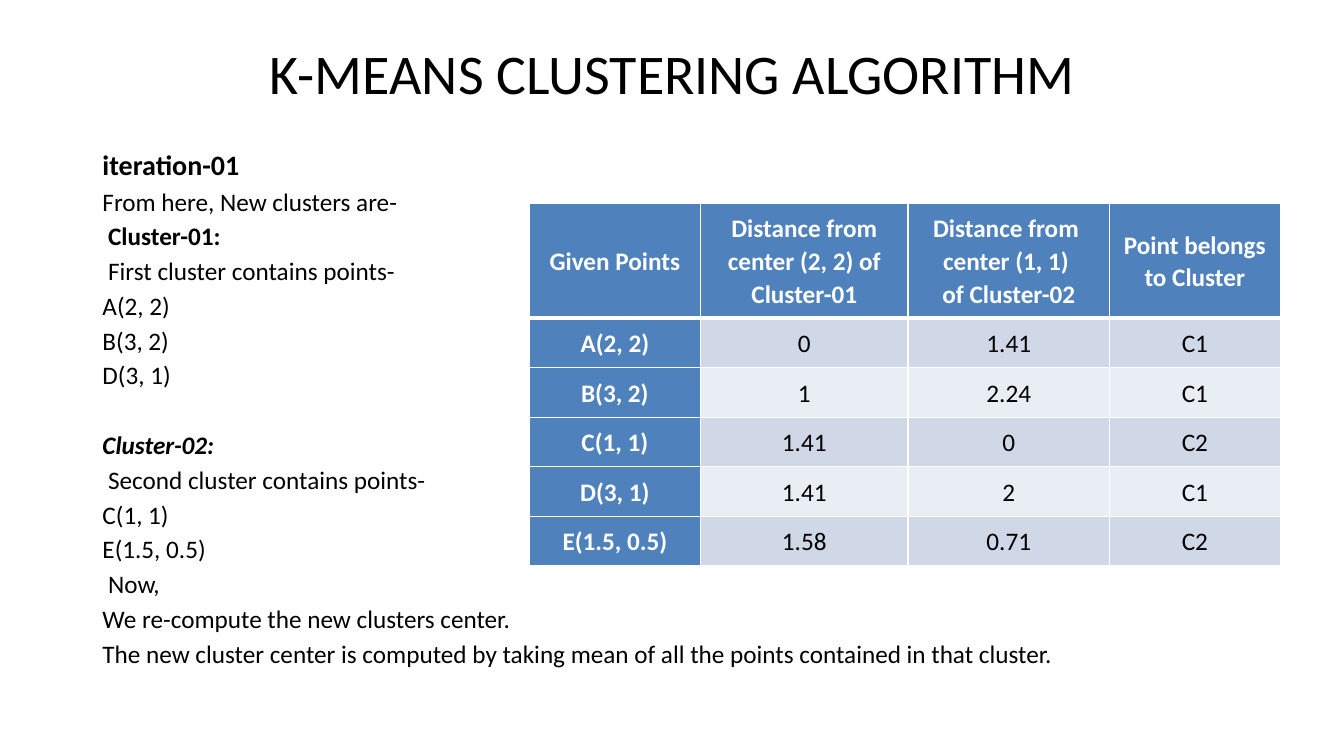
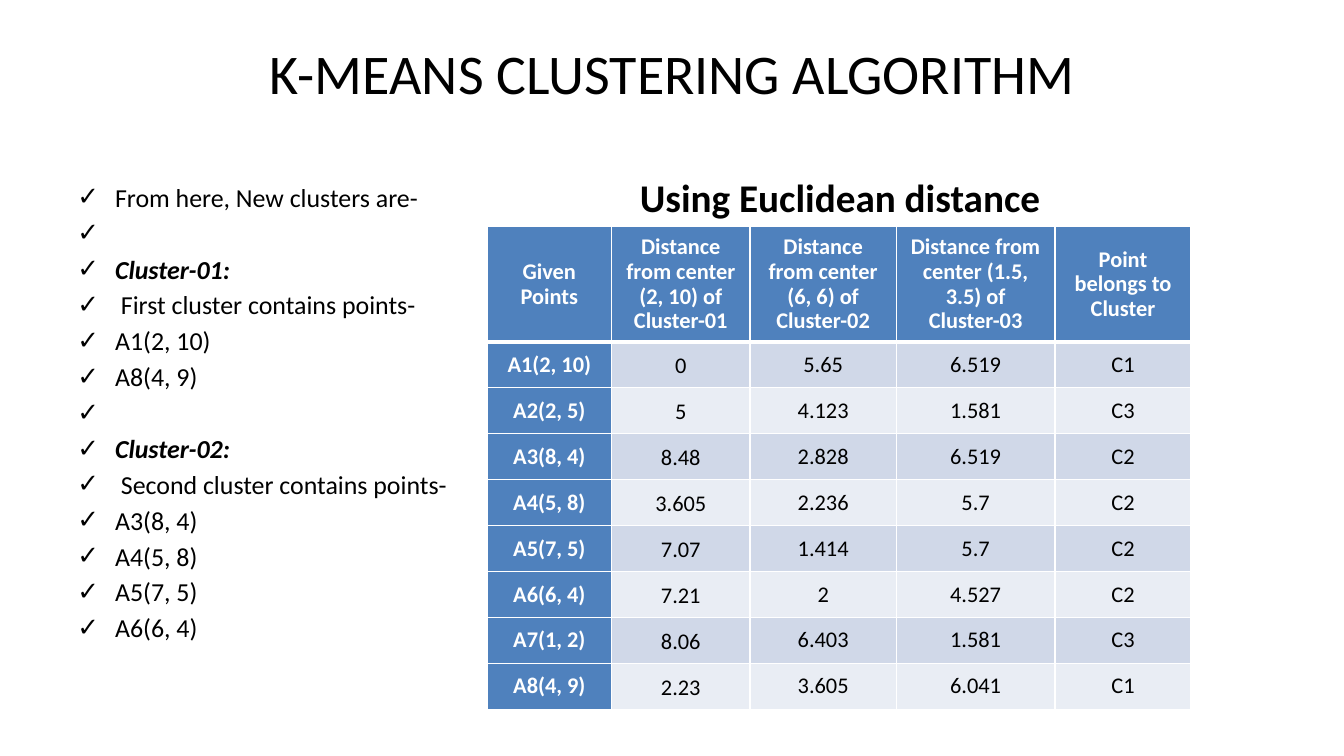
from lxml.etree import SubElement
from pptx import Presentation
from pptx.dml.color import RGBColor
from pptx.enum.text import MSO_ANCHOR as Anchor, MSO_AUTO_SIZE as AutoSize, PP_ALIGN as Align
from pptx.oxml.ns import qn
from pptx.util import Inches, Pt

BLACK = RGBColor(0x00, 0x00, 0x00)
WHITE = RGBColor(0xFF, 0xFF, 0xFF)
BLUE = RGBColor(0x4F, 0x81, 0xBD)
BANDS = RGBColor(0xD0, 0xD8, 0xE8), RGBColor(0xE9, 0xED, 0xF4)

TITLE = "K-MEANS CLUSTERING ALGORITHM"
TITLE_AREA = 8, 3.6, 144, 15
BOLD_ITALIC = {"bold": True, "italic": True}

ITERATION = [
    ("iteration-01", {"size": 20, "bold": True}),
    ("From here, New clusters are-", {}),
    (" Cluster-01:", {"bold": True}),
    (" First cluster contains points-", {}),
    ("A(2, 2)", {}),
    ("B(3, 2)", {}),
    ("D(3, 1)", {}),
    ("Cluster-02:", {**BOLD_ITALIC, "before": 28.4}),
    (" Second cluster contains points-", {}),
    ("C(1, 1)", {}),
    ("E(1.5, 0.5)", {}),
    (" Now,", {}),
    ("We re-compute the new clusters center.", {}),
    ("The new cluster center is computed by taking mean of all the points "
     "contained in that cluster.", {}),
]
TWO_CENTERS = [
    ("Given Points", "Distance from center (2, 2) of Cluster-01",
     "Distance from \ncenter (1, 1) \nof Cluster-02", "Point belongs to Cluster"),
    ("A(2, 2)", "0", "1.41", "C1"),
    ("B(3, 2)", "1", "2.24", "C1"),
    ("C(1, 1)", "1.41", "0", "C2"),
    ("D(3, 1)", "1.41", "2", "C1"),
    ("E(1.5, 0.5)", "1.58", "0.71", "C2"),
]
NEW_CLUSTERS = [
    ("From here, New clusters are-", {}),
    (" ", {}),
    ("Cluster-01:", BOLD_ITALIC),
    (" First cluster contains points-", {}),
    ("A1(2, 10)", {}),
    ("A8(4, 9)", {}),
    (" ", {}),
    ("Cluster-02:", BOLD_ITALIC),
    (" Second cluster contains points-", {}),
    ("A3(8, 4)", {}),
    ("A4(5, 8)", {}),
    ("A5(7, 5)", {}),
    ("A6(6, 4)", {}),
]
THREE_CENTERS = [
    ("Given Points", "Distance from center (2, 10) of Cluster-01",
     "Distance from center (6, 6) of Cluster-02",
     "Distance from center (1.5, 3.5) of Cluster-03", "Point belongs to Cluster"),
    ("A1(2, 10)", "0", "5.65", "6.519", "C1"),
    ("A2(2, 5)", "5", "4.123", "1.581", "C3"),
    ("A3(8, 4)", "8.48", "2.828", "6.519", "C2"),
    ("A4(5, 8)", "3.605", "2.236", "5.7", "C2"),
    ("A5(7, 5)", "7.07", "1.414", "5.7", "C2"),
    ("A6(6, 4)", "7.21", "2", "4.527", "C2"),
    ("A7(1, 2)", "8.06", "6.403", "1.581", "C3"),
    ("A8(4, 9)", "2.23", "3.605", "6.041", "C1"),
]


def grid(count):
    """Length of a number of grid columns or rows, twelve to the inch."""
    return Inches(count / 12)


class Deck:
    FONT = "Calibri"
    COLUMNS, ROWS = 160, 90

    def __init__(self):
        self.prs = Presentation()
        self.prs.slide_width = grid(self.COLUMNS)
        self.prs.slide_height = grid(self.ROWS)
        self.slide = None

    def start(self, title):
        """Add a slide with the shared title."""
        self.slide = self.prs.slides.add_slide(self.prs.slide_layouts[1])
        heading = self.slide.shapes.title
        self.place(heading, TITLE_AREA)
        heading.text_frame.margin_top = Inches(0.08)
        heading.text_frame.text = title
        paragraph = heading.text_frame.paragraphs[0]
        paragraph.alignment = Align.CENTER
        self.style(paragraph, 40)

    def place(self, shape, area):
        shape.left, shape.top, shape.width, shape.height = map(grid, area)
        frame = shape.text_frame
        frame.word_wrap = True
        frame.auto_size = AutoSize.NONE
        frame.vertical_anchor = Anchor.TOP

    def style(self, paragraph, size, color=BLACK, bold=False, italic=False):
        font = paragraph.font
        font.name, font.size = self.FONT, Pt(size)
        font.bold, font.italic = bold, italic
        font.color.rgb = color

    def listing(self, area, lines, size, before, bullet=None):
        body = self.slide.placeholders[1]
        self.place(body, area)
        frame = body.text_frame
        for index, (text, look) in enumerate(lines):
            paragraph = frame.add_paragraph() if index else frame.paragraphs[0]
            paragraph.text = text
            look = {"size": size, "before": before, **look}
            gap = look.pop("before")
            paragraph.space_before = Pt(gap if index else 0)
            self.mark(paragraph, bullet)
            self.style(paragraph, **look)

    def mark(self, paragraph, bullet):
        """Give a paragraph its bullet and hanging indent, or neither."""
        props = paragraph._p.get_or_add_pPr()
        hang = grid(4.5) if bullet else 0
        props.set("marL", str(hang))
        props.set("indent", str(-hang))
        if bullet:
            SubElement(props, qn("a:buChar"), char=bullet)
        else:
            SubElement(props, qn("a:buNone"))

    def caption(self, area, text, size):
        box = self.slide.shapes.add_textbox(0, 0, 0, 0)
        self.place(box, area)
        box.text_frame.text = text
        self.style(box.text_frame.paragraphs[0], size, bold=True)

    def table(self, corner, widths, height, header_height, rows, size, spacing,
              first_value_spacing):
        left, top = corner
        table = self.slide.shapes.add_table(
            len(rows), len(widths), grid(left), grid(top),
            grid(sum(widths)), grid(height)).table
        for column, width in zip(table.columns, widths):
            column.width = grid(width)
        row_height = (height - header_height) / (len(rows) - 1)
        for r, texts in enumerate(rows):
            table.rows[r].height = grid(row_height if r else header_height)
            for c, text in enumerate(texts):
                line_spacing = first_value_spacing if r and c == 1 else spacing
                self.cell(table.cell(r, c), text, r, c, size, line_spacing)

    def cell(self, cell, text, row, column, size, spacing):
        label = row == 0 or column == 0
        cell.text = text
        cell.vertical_anchor = Anchor.MIDDLE
        cell.margin_left = cell.margin_right = Inches(0.1)
        cell.margin_top = cell.margin_bottom = Inches(0.08)
        self.borders(cell, top=3 if row == 1 else 1, bottom=1 if row else 3)
        cell.fill.solid()
        cell.fill.fore_color.rgb = BLUE if label else BANDS[(row - 1) % 2]
        for paragraph in cell.text_frame.paragraphs:
            paragraph.alignment = Align.CENTER
            paragraph.line_spacing = spacing
            self.style(paragraph, size, WHITE if label else BLACK, bold=label)

    def borders(self, cell, top, bottom):
        props = cell._tc.get_or_add_tcPr()
        for side, width in zip("LRTB", (1, 1, top, bottom)):
            line = SubElement(props, qn(f"a:ln{side}"), w=str(Pt(width)))
            fill = SubElement(line, qn("a:solidFill"))
            SubElement(fill, qn("a:srgbClr"), val=str(WHITE))


def main():
    deck = Deck()

    deck.start(TITLE)
    deck.listing((11, 17, 143, 71), ITERATION, size=18, before=3.2)
    deck.table((63, 24.2), (20.4, 24.7, 24, 20.3), 43.2, 13.7, TWO_CENTERS,
               size=18, spacing=1.07, first_value_spacing=1.07)

    deck.start(TITLE)
    deck.listing((8, 21, 144, 59.4), NEW_CLUSTERS, size=18.5, before=3.4, bullet="✓")
    deck.table((58, 27), (14.8, 16.5, 17.4, 18.9, 16.2), 57.5, 13.7, THREE_CENTERS,
               size=16, spacing=0.9, first_value_spacing=1.07)
    deck.caption((75, 20, 52, 6.8), "Using Euclidean distance", size=28)

    deck.prs.save("out.pptx")


if __name__ == "__main__":
    main()
